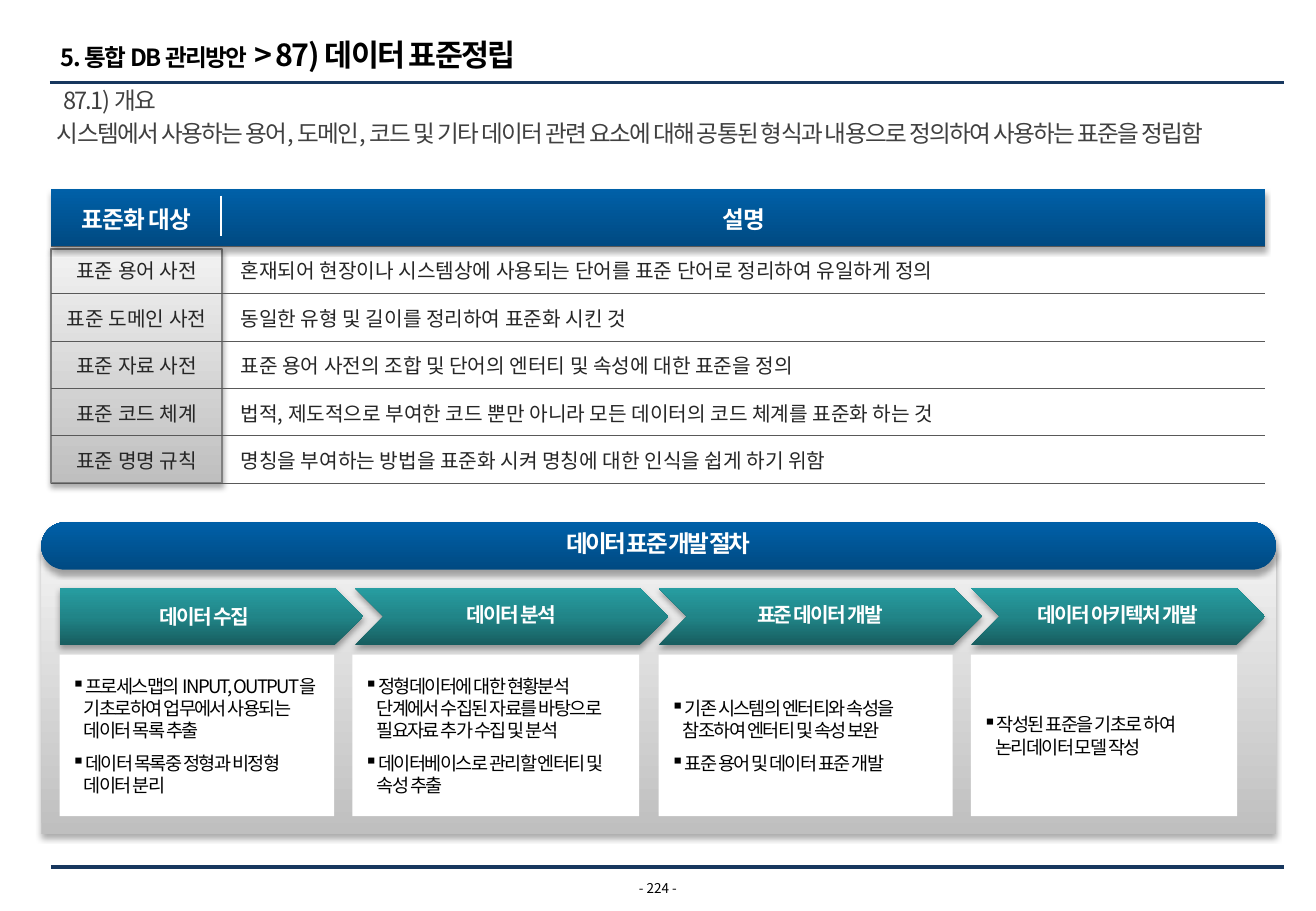
from copy import deepcopy

from lxml.etree import SubElement
from pptx import Presentation
from pptx.dml.color import RGBColor
from pptx.enum.shapes import MSO_CONNECTOR, MSO_SHAPE
from pptx.enum.text import MSO_ANCHOR, PP_ALIGN
from pptx.oxml import parse_xml
from pptx.oxml.ns import nsdecls, qn
from pptx.util import Emu, Pt

PX = 9144  # 100 px to the inch
WIDTH, HEIGHT = 1083, 750
FONT = "Noto Sans CJK KR"

WHITE = RGBColor(0xFF, 0xFF, 0xFF)
BLACK = RGBColor(0x00, 0x00, 0x00)
NAVY = RGBColor(0x17, 0x37, 0x5E)
GREY = RGBColor(0x40, 0x40, 0x40)
INK = RGBColor(0x26, 0x26, 0x26)
RULE = RGBColor(0x59, 0x59, 0x59)
EDGE = RGBColor(0x80, 0x80, 0x80)
# Gradients run from bottom to top
SILVER = [RGBColor(0xBF, 0xBF, 0xBF), RGBColor(0xF2, 0xF2, 0xF2)]
BLUE = [RGBColor(0x00, 0x4A, 0x82), RGBColor(0x00, 0x60, 0xA8)]
TEAL = [RGBColor(0x17, 0x5D, 0x5F), RGBColor(0x21, 0x85, 0x88), RGBColor(0x27, 0x9D, 0xA1)]

CHAPTER, SECTION = "5. 통합 DB 관리방안", " > 87) 데이터 표준정립"
SUBHEAD = "87.1) 개요"
SUMMARY = ("시스템에서 사용하는 용어, 도메인, 코드 및 기타 데이터 관련 요소에 대해 "
           "공통된 형식과 내용으로 정의하여 사용하는 표준을 정립함")
STANDARDS = [
    ("표준화 대상", "설명"),
    ("표준 용어 사전", "혼재되어 현장이나 시스템상에 사용되는 단어를 표준 단어로 정리하여 유일하게 정의"),
    ("표준 도메인 사전", "동일한 유형 및 길이를 정리하여 표준화 시킨 것"),
    ("표준 자료 사전", "표준 용어 사전의 조합 및 단어의 엔터티 및 속성에 대한 표준을 정의"),
    ("표준 코드 체계", "법적, 제도적으로 부여한 코드 뿐만 아니라 모든 데이터의 코드 체계를 표준화 하는 것"),
    ("표준 명명 규칙", "명칭을 부여하는 방법을 표준화 시켜 명칭에 대한 인식을 쉽게 하기 위함"),
]
PROCESS = "데이터 표준 개발 절차"
# title, arrow (left, width), box (left, width), bullets
STEPS = [
    ("데이터 수집", (49, 250), (49, 226),
     ["프로세스맵의 INPUT, OUTPUT을\n기초로하여 업무에서 사용되는 데이터 목록 추출",
      "데이터 목록중 정형과 비정형\n데이터 분리"]),
    ("데이터 분석", (292, 258), (290, 236),
     ["정형데이터에 대한 현황분석\n단계에서 수집된 자료를 바탕으로\n필요자료 추가 수집 및 분석",
      "데이터베이스로 관리할 엔터티 및\n속성 추출"]),
    ("표준 데이터 개발", (542, 266), (542, 242),
     ["기존 시스템의 엔터티와 속성을\n참조하여 엔터티 및 속성 보완",
      "표준 용어 및 데이터 표준 개발"]),
    ("데이터 아키텍처 개발", (799, 242), (799, 219),
     ["작성된 표준을 기초로 하여\n논리데이터 모델 작성"]),
]
PAGE = "- 224 -"

TABLE_X, TABLE_Y, COLS = 42, 156, (141, 858)
HEAD_H, ROW_H = 47, 39
BODY_Y, BODY_H = TABLE_Y + HEAD_H, ROW_H * (len(STANDARDS) - 1)

prs = Presentation()
prs.slide_width, prs.slide_height = Emu(WIDTH * PX), Emu(HEIGHT * PX)
s = prs.slides.add_slide(prs.slide_layouts[6])


def box_emu(*lengths):
    return [Emu(n * PX) for n in lengths]


def style_run(r, size, color, bold=False, spacing=0):
    r.font.name, r.font.size, r.font.bold = FONT, Pt(size), bold
    r.font.color.rgb = color
    rPr = r.font._element
    SubElement(rPr, qn("a:ea")).set("typeface", FONT)
    if spacing:
        rPr.set("spc", str(int(spacing * 100)))


def write(p, text, size, color, bold=False, spacing=0, align=PP_ALIGN.LEFT):
    p.text = text
    p.alignment = align
    for r in p.runs:
        style_run(r, size, color, bold, spacing)
    for br in p._p.findall(qn("a:br")):
        br.insert(0, deepcopy(p.runs[0].font._element))


def set_margins(obj, left=0, top=0, right=0, bottom=0):
    obj.margin_left, obj.margin_top, obj.margin_right, obj.margin_bottom = box_emu(
        left, top, right, bottom)


def text_box(x, y, w, h, margins=(10, 5, 10, 5)):
    tf = s.shapes.add_textbox(*box_emu(x, y, w, h)).text_frame
    tf.word_wrap = True
    set_margins(tf, *margins)
    return tf


def line(x1, y1, x2, y2, color, width):
    c = s.shapes.add_connector(MSO_CONNECTOR.STRAIGHT, *box_emu(x1, y1, x2, y2))
    c.line.color.rgb, c.line.width = color, Pt(width)
    SubElement(c._element.spPr, qn("a:effectLst"))


def shape(kind, x, y, w, h, colors, edge=None):
    """Add a shape: one colour gives a flat fill, more give a gradient with a shadow."""
    sp = s.shapes.add_shape(kind, *box_emu(x, y, w, h))
    sp.shadow.inherit = False
    if edge is None:
        sp.line.fill.background()
    else:
        sp.line.color.rgb, sp.line.width = edge, Pt(1)
    tf = sp.text_frame
    tf.word_wrap, tf.vertical_anchor = True, MSO_ANCHOR.MIDDLE
    set_margins(tf)
    if len(colors) == 1:
        sp.fill.solid()
        sp.fill.fore_color.rgb = colors[0]
        return sp
    stops = "".join(
        f'<a:gs pos="{100000 * i // (len(colors) - 1)}"><a:srgbClr val="{c}"/></a:gs>'
        for i, c in enumerate(colors))
    spPr = sp._element.spPr
    spPr.find(qn("a:prstGeom")).addnext(parse_xml(
        f'<a:gradFill {nsdecls("a")} rotWithShape="1"><a:gsLst>{stops}</a:gsLst>'
        '<a:lin ang="16200000" scaled="0"/></a:gradFill>'))
    spPr.find(qn("a:effectLst")).append(parse_xml(
        f'<a:outerShdw {nsdecls("a")} blurRad="{Pt(3.5)}" dist="{Pt(2.2)}" dir="5400000" '
        'algn="t" rotWithShape="0"><a:srgbClr val="000000"><a:alpha val="32000"/>'
        '</a:srgbClr></a:outerShdw>'))
    return sp


def set_borders(cell, top):
    """Rule a cell below, and above if top is set, but never at its sides."""
    tcPr = cell._tc.get_or_add_tcPr()
    for i, (side, ruled) in enumerate(zip("LRTB", (False, False, top, True))):
        fill = f'<a:solidFill><a:srgbClr val="{RULE}"/></a:solidFill>' if ruled else "<a:noFill/>"
        tcPr.insert(i, parse_xml(f'<a:ln{side} {nsdecls("a")} w="{Pt(0.75)}">{fill}</a:ln{side}>'))


def add_heading():
    line(41, 68, 1057, 68, NAVY, 2.25)
    p = text_box(30, 14, 712, 46, (20, 16, 0, 0)).paragraphs[0]
    write(p, CHAPTER, 14, BLACK, True, -1)
    r = p.add_run()
    r.text = SECTION
    style_run(r, 18, BLACK, True, -1)
    write(text_box(42, 66, 268, 34).paragraphs[0], SUBHEAD, 14, GREY, spacing=-1)
    write(text_box(37, 93, 1012, 57).paragraphs[0], SUMMARY, 14, GREY, spacing=-1)


def add_standards():
    shape(MSO_SHAPE.RECTANGLE, TABLE_X, BODY_Y + 2, COLS[0], BODY_H - 2, SILVER, EDGE)
    shape(MSO_SHAPE.RECTANGLE, TABLE_X, TABLE_Y, sum(COLS), HEAD_H, BLUE)
    table = s.shapes.add_table(len(STANDARDS), len(COLS), *box_emu(
        TABLE_X, TABLE_Y, sum(COLS), HEAD_H + BODY_H)).table
    table.horz_banding = False
    for col, w in zip(table.columns, COLS):
        col.width = Emu(w * PX)
    for i, texts in enumerate(STANDARDS):
        table.rows[i].height = Emu((ROW_H if i else HEAD_H) * PX)
        for j, text in enumerate(texts):
            cell = table.cell(i, j)
            description = i > 0 and j == 1
            cell.fill.background()
            set_borders(cell, top=i > 0)
            set_margins(cell, left=15 if description else 0)
            cell.vertical_anchor = MSO_ANCHOR.MIDDLE
            look = (12, INK) if i else (14, WHITE, True, -0.5)
            write(cell.text_frame.paragraphs[0], text, *look,
                  align=PP_ALIGN.LEFT if description else PP_ALIGN.CENTER)
    line(182, 161, 182, 194, WHITE, 0.75)


def add_process():
    shape(MSO_SHAPE.RECTANGLE, 34, 453, 1016, 234, SILVER)
    banner = shape(MSO_SHAPE.ROUNDED_RECTANGLE, 34, 430, 1016, 39, BLUE)
    banner.adjustments[0] = 0.5
    p = banner.text_frame.paragraphs[0]
    write(p, PROCESS, 14, WHITE, True, -1.5, PP_ALIGN.CENTER)
    p.line_spacing = 0.8
    for i, (title, (arrow_x, arrow_w), (x, w), bullets) in enumerate(STEPS):
        kind = MSO_SHAPE.CHEVRON if i else MSO_SHAPE.PENTAGON
        p = shape(kind, arrow_x, 484, arrow_w, 47, TEAL).text_frame.paragraphs[0]
        write(p, title, 12, WHITE, True, -1, PP_ALIGN.CENTER)
        p.line_spacing = 0.8 if i else 1.0
        tf = shape(MSO_SHAPE.RECTANGLE, x, 539, w, 133, [WHITE]).text_frame
        for n, bullet in enumerate(bullets):
            p = tf.add_paragraph() if n else tf.paragraphs[0]
            pPr = p._p.get_or_add_pPr()
            pPr.set("marL", str(20 * PX))
            pPr.set("indent", str(-10 * PX))
            SubElement(pPr, qn("a:buChar")).set("char", "▪")
            write(p, bullet, 11, BLACK, spacing=-1)
            p.space_after = Pt(6)


def add_footer():
    line(42, 714, 1057, 714, NAVY, 2.25)
    tf = text_box(508, 725, 67, 13, (0, 0, 0, 0))
    tf.vertical_anchor = MSO_ANCHOR.MIDDLE
    write(tf.paragraphs[0], PAGE, 8, BLACK, align=PP_ALIGN.CENTER)


add_heading()
add_standards()
add_process()
add_footer()
prs.save("out.pptx")
